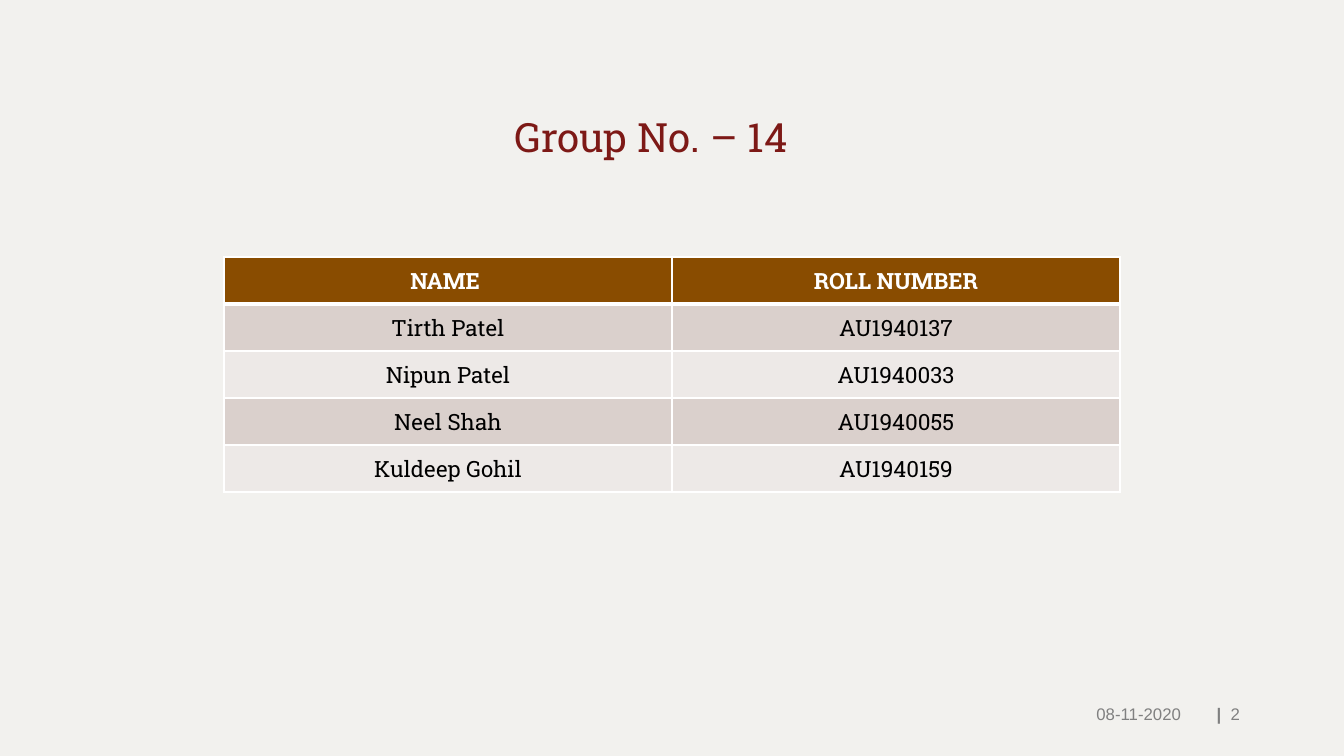
"""Build the group members slide with its table of roll numbers."""
import lxml.etree
import pptx
import pptx.dml.color
import pptx.enum.text
import pptx.oxml.ns
import pptx.util

ALIGN = pptx.enum.text.PP_ALIGN
MIDDLE = pptx.enum.text.MSO_ANCHOR.MIDDLE
COLOURS = {
    "background": "F2F1EE", "title": "7D1916", "footer": "808080",
    "header": "894C00", "header text": "FFFFFF", "border": "FFFFFF",
    "member text": "000000", "odd": "DAD0CC", "even": "EDE9E7",
}
FORMATS = {
    "title": {"name": "Roboto Slab", "size": pptx.util.Pt(28.8), "bold": False},
    "header text": {"name": "Roboto Slab", "size": pptx.util.Pt(16), "bold": True},
    "member text": {"name": "Roboto Slab", "size": pptx.util.Pt(16), "bold": False},
    "footer": {"name": "Arial", "size": pptx.util.Pt(12), "bold": False},
}
MEMBERS = [
    ("NAME ", "ROLL NUMBER"),
    ("Tirth Patel", "AU1940137"),
    ("Nipun Patel", "AU1940033"),
    ("Neel Shah", "AU1940055"),
    ("Kuldeep Gohil", "AU1940159"),
]


class SlideBuilder:
    """Hold the style and the current slide."""

    def __init__(self, deck, width, height):
        """Add a blank slide of the given size in px."""
        self.scale = pptx.util.Inches(13.333) / width
        deck.slide_width, deck.slide_height = self.px(width, height)
        self.slide = deck.slides.add_slide(deck.slide_layouts[6])
        self.paint(self.slide.background.fill, "background")

    def px(self, *lengths):
        """Turn px into EMU."""
        return [pptx.util.Emu(round(length * self.scale)) for length in lengths]

    def colour(self, key):
        """Look up a colour."""
        return pptx.dml.color.RGBColor.from_string(COLOURS[key])

    def paint(self, fill, key):
        """Make a fill solid."""
        fill.solid()
        fill.fore_color.rgb = self.colour(key)

    def add_words(self, paragraph, words, style, align, **changes):
        """Add a formatted run to a paragraph."""
        paragraph.alignment = align
        run = paragraph.add_run()
        run.text = words
        for attribute, value in {**FORMATS[style], **changes}.items():
            setattr(run.font, attribute, value)
        run.font.color.rgb = self.colour(style)

    def add_line(self, box, style, align, *pieces):
        """Add a text box of one line made of (words, changes) pieces."""
        frame = self.slide.shapes.add_textbox(*self.px(*box)).text_frame
        frame.word_wrap = True
        frame.vertical_anchor = MIDDLE
        for words, changes in pieces:
            self.add_words(frame.paragraphs[0], words, style, align, **changes)

    def border(self, cell, top, bottom):
        """Draw the four sides of a cell with the given top and bottom widths."""
        properties = cell._tc.get_or_add_tcPr()
        widths = {"lnL": 1, "lnR": 1, "lnT": top, "lnB": bottom}
        for position, (side, width) in enumerate(widths.items()):
            line = lxml.etree.Element(pptx.oxml.ns.qn(f"a:{side}"), w=str(pptx.util.Pt(width)))
            solid = lxml.etree.SubElement(line, pptx.oxml.ns.qn("a:solidFill"))
            lxml.etree.SubElement(solid, pptx.oxml.ns.qn("a:srgbClr"), val=COLOURS["border"])
            properties.insert(position, line)

    def add_members(self, box, rows):
        """Add a table with a header and banded rows."""
        table = self.slide.shapes.add_table(len(rows), len(rows[0]), *self.px(*box)).table
        for row, entries in enumerate(rows):
            style = "member text" if row else "header text"
            band = ("even", "odd")[row % 2] if row else "header"
            for column, words in enumerate(entries):
                cell = table.cell(row, column)
                cell.vertical_anchor = MIDDLE
                self.paint(cell.fill, band)
                self.border(cell, 3 if row == 1 else 1, 3 if row == 0 else 1)
                self.add_words(cell.text_frame.paragraphs[0], words, style, ALIGN.CENTER)


def main():
    """Build and save the slide."""
    deck = pptx.Presentation()
    builder = SlideBuilder(deck, 1344, 756)
    builder.add_line((72, 65, 1159, 143), "title", ALIGN.CENTER, ("Group No. – 14", {}))
    builder.add_line((1190, 693, 60, 41), "footer", ALIGN.RIGHT, ("|  ", {"bold": True}), ("2", {}))
    builder.add_line((874, 693, 317, 41), "footer", ALIGN.RIGHT, ("08-11-2020", {}))
    builder.add_members((224, 257, 896, 235), MEMBERS)
    deck.save("out.pptx")


if __name__ == "__main__":
    main()
